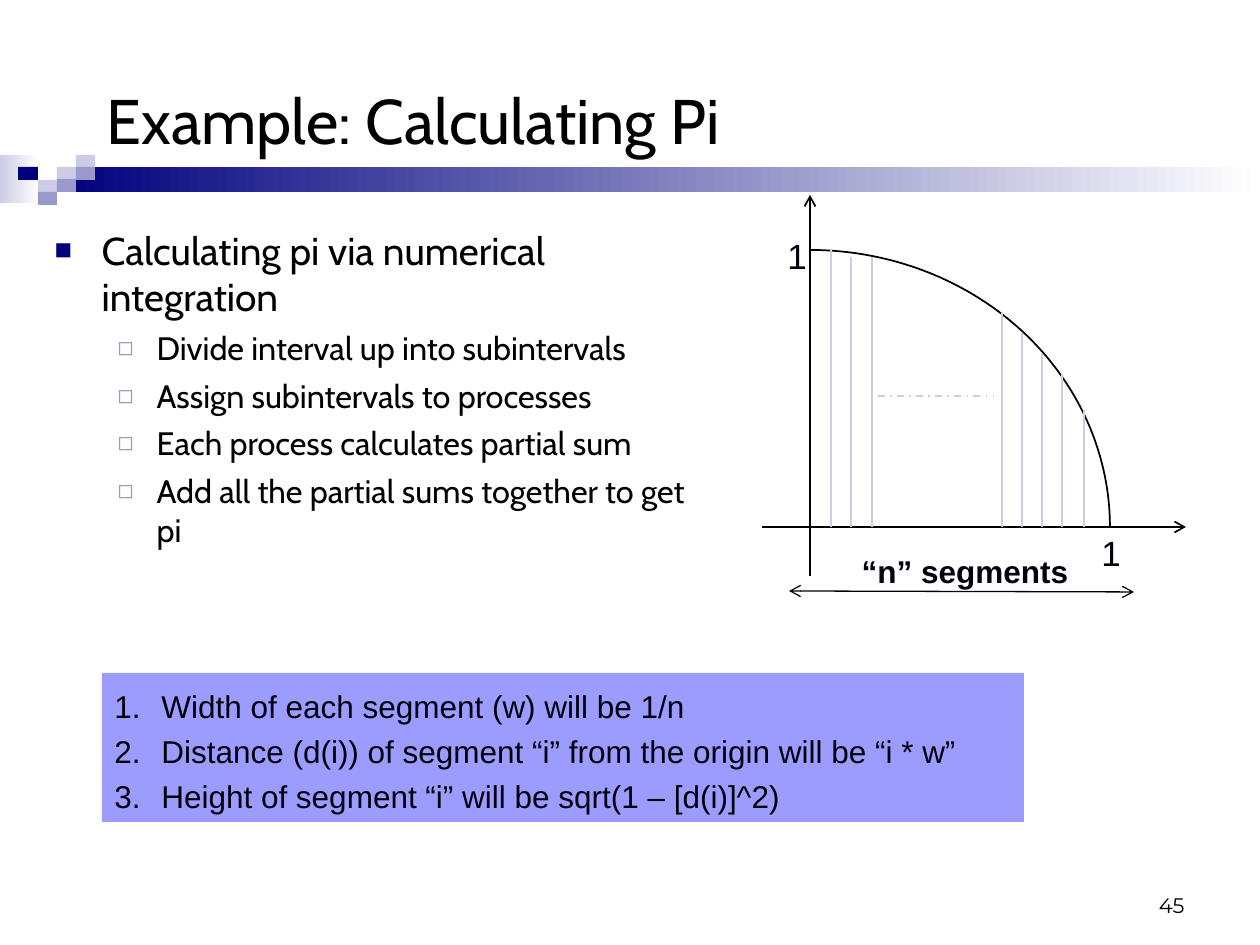
import math
from dataclasses import dataclass

from lxml import etree
from pptx import Presentation
from pptx import util as u
from pptx.dml.color import RGBColor
from pptx.enum import dml, shapes, text
from pptx.oxml.ns import qn


@dataclass(frozen=True)
class Theme:
    navy: str = "00007D"
    mid: str = "9999CC"
    pale: str = "CCCCE6"
    white: str = "FFFFFF"
    black: str = "000000"
    ink: str = "00000D"
    panel: str = "9C9CFF"
    title: float = 36
    body: float = 22.2
    sub: float = 18.5
    axis: float = 20
    note: float = 18
    number: float = 12


T = Theme()
PX = 914400 / 126
rgb = RGBColor.from_string


def px(*values):
    return [u.Emu(round(v * PX)) for v in values]


def write(tf, lines, size, font="Arial", color=T.ink, bold=False, align="LEFT",
          anchor="TOP", wrap=True, level=0, indent=0, hang=0, before=0,
          spacing=None, bullet=None, add=False):
    """Fill a text frame; bullet is a list of (tag, attributes) pairs."""
    tf.word_wrap = wrap
    tf.auto_size = text.MSO_AUTO_SIZE.NONE
    tf.vertical_anchor = getattr(text.MSO_ANCHOR, anchor)
    for i, line in enumerate(lines):
        first = i == 0 and not add
        p = tf.paragraphs[0] if first else tf.add_paragraph()
        p.level = level
        p.alignment = getattr(text.PP_ALIGN, align)
        p.space_before = u.Pt(0 if first else before)
        if spacing:
            p.line_spacing = spacing
        pPr = p._p.get_or_add_pPr()
        pPr.set("marL", str(px(indent)[0]))
        pPr.set("indent", str(px(-hang)[0]))
        for tag, attrs in bullet or [("a:buNone", {})]:
            el = etree.SubElement(pPr, qn(tag), attrs)
            if tag == "a:buClr":
                etree.SubElement(el, qn("a:srgbClr"), val=T.navy if level == 0 else T.mid)
        r = p.add_run()
        r.text = line
        r.font.size, r.font.name, r.font.bold = u.Pt(size), font, bold
        r.font.color.rgb = rgb(color)


prs = Presentation()
prs.slide_width, prs.slide_height = px(1260, 945)
s = prs.slides.add_slide(prs.slide_layouts[1])

# Title band: two fading bars, then the small tiles
band = [
    (0, 155, 39, 48, T.pale, True),
    (57, 167, 1203, 25, T.navy, True),
    (57, 167, 19, 13, T.pale, False),
    (76, 155, 19, 13, T.pale, False),
    (76, 167, 19, 13, T.mid, False),
    (38, 180, 19, 13, T.pale, False),
    (18, 167, 20, 13, T.navy, False),
    (57, 179, 19, 13, T.mid, False),
    (38, 192, 19, 13, T.mid, False),
]
for x, y, w, h, color, fades in band:
    sp = s.shapes.add_shape(shapes.MSO_SHAPE.RECTANGLE, *px(x, y, w, h))
    sp.shadow.inherit = False
    sp.line.fill.background()
    if fades:
        sp.fill.gradient()
        sp.fill.gradient_angle = 0
        for stop, c, pos in zip(sp.fill.gradient_stops, (color, T.white), (0, 1)):
            stop.color.rgb = rgb(c)
            stop.position = pos
    else:
        sp.fill.solid()
        sp.fill.fore_color.rgb = rgb(color)

# Title and list
title, body = s.shapes.title, s.placeholders[1]
title.left, title.top, title.width, title.height = px(94, 63, 1061, 112)
write(title.text_frame, ["Example: Calculating Pi"], T.title, font="Cabin",
      color=T.black, anchor="MIDDLE")

body.left, body.top, body.width, body.height = px(42, 220, 683, 431)
write(body.text_frame, ["Calculating pi via numerical integration"], T.body,
      font="Cabin", color=T.black, indent=47, hang=47,
      bullet=[("a:buClr", {}), ("a:buSzPct", {"val": "75000"}),
              ("a:buFont", {"typeface": "Arial"}), ("a:buChar", {"char": "■"})])
write(body.text_frame, [
    "Divide interval up into subintervals",
    "Assign subintervals to processes",
    "Each process calculates partial sum",
    "Add all the partial sums together to get pi",
], T.sub, font="Cabin", color=T.black, level=1, indent=102, hang=39, before=5, add=True,
    bullet=[("a:buClr", {}), ("a:buSzPct", {"val": "80000"}),
            ("a:buFont", {"typeface": "Arial"}), ("a:buChar", {"char": "◻"})])

# Quarter circle of the unit radius
X0, Y0, RX, RY, STEPS = 810, 527, 300, 277, 60
angles = [math.pi / 2 * i / STEPS for i in range(STEPS + 1)]
curve = [tuple(px(X0 + RX * math.sin(a), Y0 - RY * math.cos(a))) for a in angles]
fb = s.shapes.build_freeform(*curve[0])
fb.add_line_segments(curve[1:], close=False)
sp = fb.convert_to_shape()
sp.shadow.inherit = False
sp.fill.background()
sp.line.color.rgb = rgb(T.black)
sp.line.width = u.Pt(1)

# Axes, segment edges, gap line and width arrow
edges = [(831, 250), (851, 257), (872, 257), (1002, 312), (1022, 333),
         (1042, 354), (1062, 374), (1084, 410)]
lines = [
    (X0, 195, X0, 576, T.black, 1, ["headEnd"]),
    (762, Y0, 1186, Y0, T.black, 1, ["tailEnd"]),
    *[(x, top, x, Y0, T.pale, 1, []) for x, top in edges],
    (878, 396, 994, 396, T.pale, 1, ["dash"]),
    (789, 591, 1134, 592, T.ink, 0.75, ["headEnd", "tailEnd"]),
]
for x1, y1, x2, y2, color, width, marks in lines:
    cx = s.shapes.add_connector(shapes.MSO_CONNECTOR.STRAIGHT, *px(x1, y1, x2, y2))
    cx.line.color.rgb = rgb(color)
    cx.line.width = u.Pt(width)
    for mark in marks:
        if mark == "dash":
            cx.line.dash_style = dml.MSO_LINE.DASH_DOT
        else:
            etree.SubElement(cx.line._get_or_add_ln(), qn("a:" + mark), type="arrow")
    etree.SubElement(cx._element.spPr, qn("a:effectLst"))

# Plot labels and page number
labels = [
    ("1", (1089, 525, 44, 55), dict(size=T.axis, wrap=False)),
    ("1", (775, 228, 44, 55), dict(size=T.axis, wrap=False)),
    ("“n” segments", (825, 546, 280, 50), dict(size=T.note, bold=True, align="CENTER")),
    ("45", (903, 861, 294, 63), dict(size=T.number, font="Montserrat", color=T.black,
                                     align="RIGHT", anchor="BOTTOM")),
]
for label, box, fmt in labels:
    write(s.shapes.add_textbox(*px(*box)).text_frame, [label], **fmt)

# Numbered steps
sp = s.shapes.add_shape(shapes.MSO_SHAPE.RECTANGLE, *px(102, 673, 922, 149))
sp.shadow.inherit = False
sp.fill.solid()
sp.fill.fore_color.rgb = rgb(T.panel)
sp.line.fill.background()
write(sp.text_frame, [
    "Width of each segment (w) will be 1/n",
    "Distance (d(i)) of segment “i” from the origin will be “i * w”",
    "Height of segment “i” will be sqrt(1 – [d(i)]^2)",
], T.note, indent=47, hang=47, spacing=1.2,
    bullet=[("a:buFont", {"typeface": "Arial"}),
            ("a:buAutoNum", {"type": "arabicPeriod"})])

prs.save("out.pptx")
